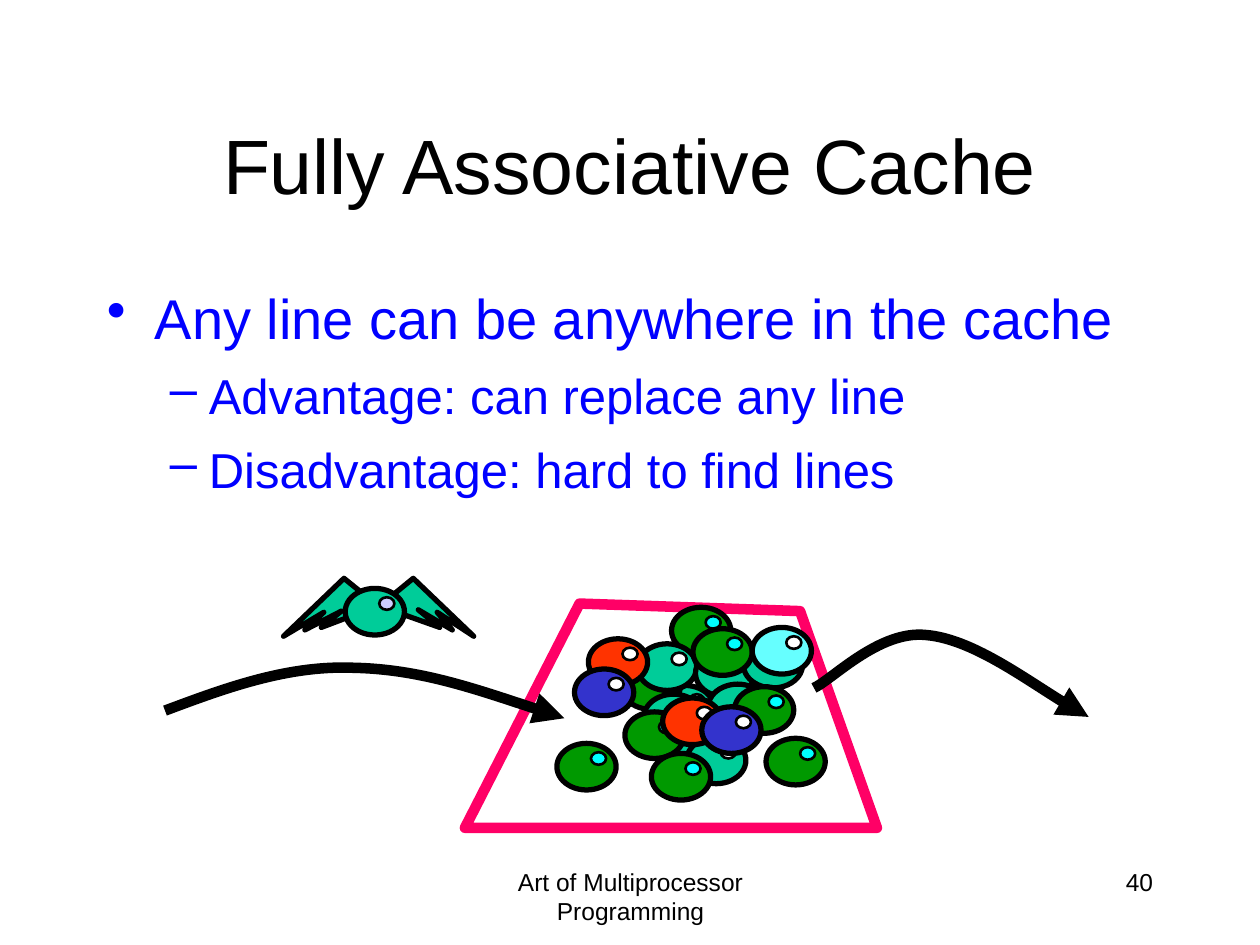
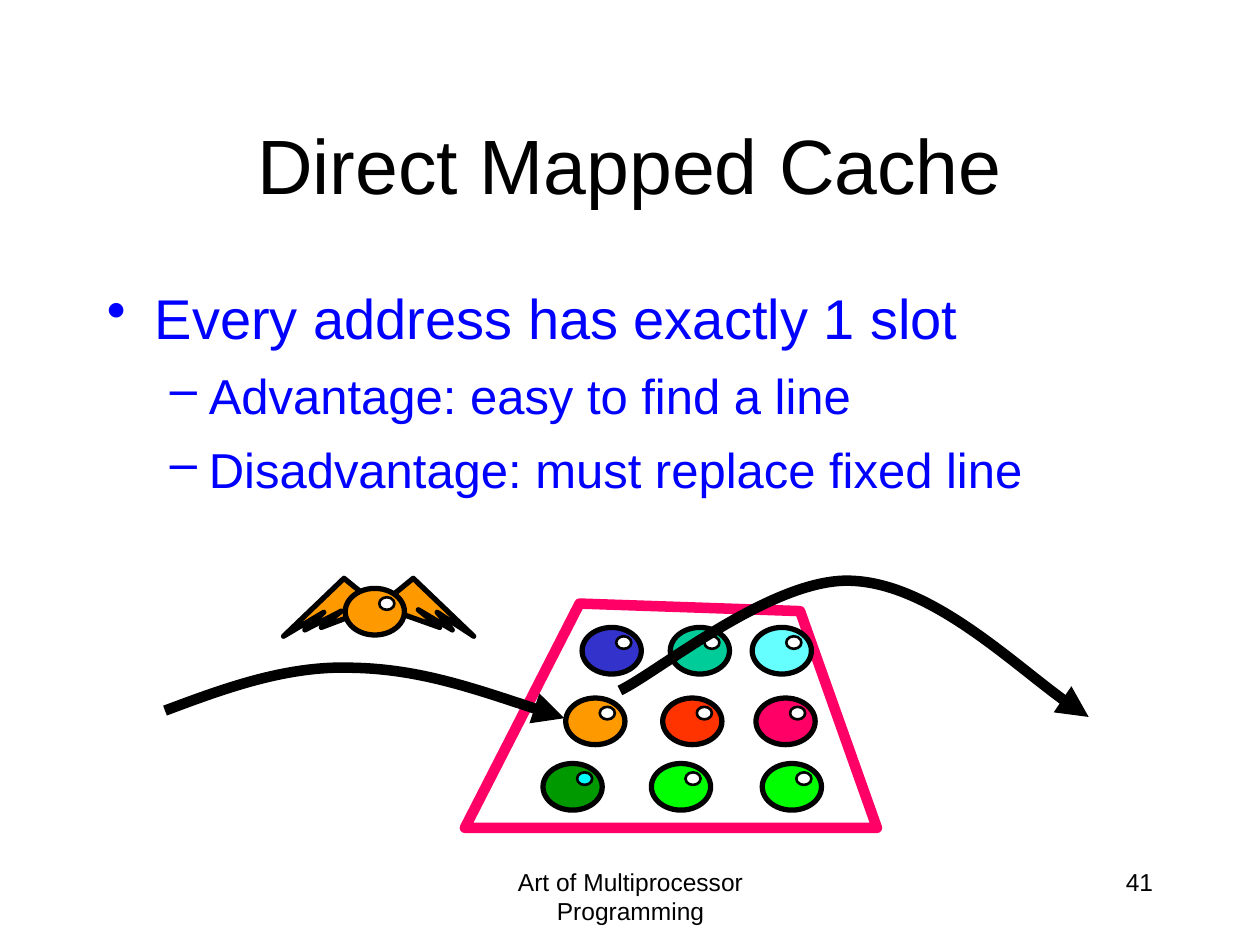
from lxml import etree
from pptx import Presentation
from pptx.dml.color import RGBColor
from pptx.enum.shapes import MSO_SHAPE
from pptx.enum.text import MSO_ANCHOR, PP_ALIGN
from pptx.oxml.ns import qn
from pptx.util import Emu, Pt

OVAL = MSO_SHAPE.OVAL
TOP, MIDDLE = MSO_ANCHOR.TOP, MSO_ANCHOR.MIDDLE
LEFT, CENTER, RIGHT = PP_ALIGN.LEFT, PP_ALIGN.CENTER, PP_ALIGN.RIGHT

PX = 9144  # EMU per px, 100 px to the inch
FONT = "Arial"
COLORS = {
    "black": "000000", "text": "0000FF", "frame": "FF0066", "white": "FFFFFF",
    "cyan": "00FFFF", "lavender": "CCCCFF", "green": "009900", "teal": "00CC99",
    "red": "FF3300", "sky": "66FFFF", "blue": "3333CC", "orange": "FF9900",
    "lime": "00FF00", "pink": "FF0066",
}

# Boxes: left, top, width, height
TITLE_BOX = (75, 67, 850, 125)
BODY_BOX = (75, 217, 850, 450)
FOOTER_BOX = (342, 683, 317, 50)
NUMBER_BOX = (717, 683, 208, 50)
CACHE_BOX = (369, 479, 327, 178)
FLYER_BOX = (225, 459, 151, 46)

BALL_SIZE = (47, 37)
GLINT_OFFSET, GLINT_SIZE = (27, 7), (12, 10)

# Outlines relative to their box
CACHE_OUTLINE = [(91, 0), (0, 178), (327, 178), (266, 6)]
RIGHT_WING = [(81, 18), (103, 0), (151, 46), (122, 27), (134, 41),
              (107, 25), (124, 39), (76, 22)]
LEFT_WING = [(69, 17), (48, 0), (0, 46), (32, 27), (17, 41),
             (46, 26), (30, 39), (75, 22)]

# Bezier points of the arrows on the slide
ENTERING = [(131, 564), (179, 546), (228, 528), (280, 530),
            (333, 531), (390, 551), (448, 570)]
LEAVING_PILE = [(646, 546), (661, 539), (698, 500), (735, 504),
                (771, 507), (837, 555), (864, 569)]
LEAVING_SLOT = [(492, 548), (523, 533), (615, 457), (677, 461),
                (739, 464), (825, 546), (864, 569)]

# Balls relative to the cache box: left, top, colour
PILE = [
    (164, 3, "green"), (151, 65, "teal"), (124, 47, "green"), (168, 82, "teal"),
    (142, 72, "teal"), (159, 89, "teal"), (176, 106, "teal"), (137, 32, "teal"),
    (183, 37, "teal"), (193, 64, "teal"), (221, 30, "teal"), (181, 20, "green"),
    (127, 86, "green"), (214, 66, "green"), (239, 107, "green"),
    (148, 119, "green"), (73, 111, "green"),
]
TOP_OF_PILE = [(157, 75, "red"), (98, 28, "red"), (228, 19, "sky"),
               (87, 52, "blue"), (188, 82, "blue")]
SLOT_ROWS = [
    (19, [(93, "blue"), (163, "teal"), (228, "sky")]),
    (75, [(80, "orange"), (157, "red"), (231, "pink")]),
    (127, [(62, "green"), (148, "lime"), (236, "lime")]),
]
SLOTS = [(left, top, color) for top, row in SLOT_ROWS for left, color in row]


def rgb(name):
    return RGBColor.from_string(COLORS[name])


def paint(shape, fill, line, width):
    shape.shadow.inherit = False
    if fill:
        shape.fill.solid()
        shape.fill.fore_color.rgb = rgb(fill)
    else:
        shape.fill.background()
    shape.line.color.rgb = rgb(line)
    shape.line.width = Pt(width)
    etree.SubElement(shape.line._get_or_add_ln(), qn("a:round"))


def style(paragraph, size, color, align=LEFT):
    paragraph.alignment = align
    paragraph.font.name = FONT
    paragraph.font.size = Pt(size)
    paragraph.font.color.rgb = rgb(color)


def text_frame(slide, box, anchor=TOP):
    frame = slide.shapes.add_textbox(*(Emu(v * PX) for v in box)).text_frame
    frame.word_wrap = True
    frame.vertical_anchor = anchor
    return frame


def label(slide, box, text, size, align, anchor=TOP):
    paragraph = text_frame(slide, box, anchor).paragraphs[0]
    paragraph.text = text
    style(paragraph, size, "black", align)


def body(slide, box, claim, details):
    frame = text_frame(slide, box)
    frame.margin_top = Emu(8 * PX)
    # text, bullet, left indent, bullet hang, size
    rows = [(claim, "•", 38, 38, 32)]
    rows += [(detail, "–", 81, 31, 28) for detail in details]
    for i, (text, bullet, indent, hang, size) in enumerate(rows):
        paragraph = frame.add_paragraph() if i else frame.paragraphs[0]
        paragraph.text = text
        props = paragraph._p.get_or_add_pPr()
        props.set("marL", str(indent * PX))
        props.set("indent", str(-hang * PX))
        etree.SubElement(props, qn("a:buChar"), char=bullet)
        style(paragraph, size, "text")
        if i:
            paragraph.level = 1
            paragraph.space_before = Pt(8.5)


def outline(shapes, box, points, fill, line, width):
    first, *rest = [(box[0] + x, box[1] + y) for x, y in points]
    builder = shapes.build_freeform(*first, scale=PX)
    builder.add_line_segments(rest, close=True)
    paint(builder.convert_to_shape(), fill, line, width)


def curved_arrow(slide, points):
    builder = slide.shapes.build_freeform(*points[0], scale=PX)
    builder.add_line_segments(points[1:], close=False)
    arrow = builder.convert_to_shape()
    paint(arrow, None, "black", 6)
    etree.SubElement(arrow.line._get_or_add_ln(), qn("a:tailEnd"), type="triangle")
    # Turn each three straight segments into one Bezier segment
    segments = list(arrow._element.iter(qn("a:lnTo")))
    curve = segments[0].getparent()
    for i in range(0, len(segments), 3):
        bezier = etree.SubElement(curve, qn("a:cubicBezTo"))
        for segment in segments[i:i + 3]:
            bezier.append(segment[0])
            curve.remove(segment)


def oval(shapes, position, size, fill, width):
    shape = shapes.add_shape(OVAL, *(Emu(v * PX) for v in position + size))
    paint(shape, fill, "black", width)


def ball(shapes, left, top, color, glint=None):
    glint = glint or ("cyan" if color == "green" else "white")
    dx, dy = GLINT_OFFSET
    oval(shapes, (left, top), BALL_SIZE, color, 3)
    oval(shapes, (left + dx, top + dy), GLINT_SIZE, glint, 1.5)


def balls(slide, box, items):
    for left, top, color in items:
        group = slide.shapes.add_group_shape()
        ball(group.shapes, box[0] + left, box[1] + top, color)


def flyer(slide, box, color, glint):
    shapes = slide.shapes.add_group_shape().shapes
    for wing in (RIGHT_WING, LEFT_WING):
        outline(shapes, box, wing, color, "black", 3)
    ball(shapes, box[0] + 49, box[1] + 8, color, glint)


def cache_slide(deck, number, title, claim, details, stored, newest,
                flyer_color, flyer_glint, leaving):
    slide = deck.slides.add_slide(deck.slide_layouts[6])
    # Texts
    label(slide, FOOTER_BOX, "Art of Multiprocessor Programming", 14, CENTER)
    label(slide, NUMBER_BOX, str(number), 14, RIGHT)
    label(slide, TITLE_BOX, title, 44, CENTER, MIDDLE)
    body(slide, BODY_BOX, claim, details)
    # Cache with its lines
    outline(slide.shapes, CACHE_BOX, CACHE_OUTLINE, None, "frame", 6)
    balls(slide, CACHE_BOX, stored)
    # Line flying in, line pushed out
    flyer(slide, FLYER_BOX, flyer_color, flyer_glint)
    curved_arrow(slide, ENTERING)
    curved_arrow(slide, leaving)
    balls(slide, CACHE_BOX, newest)


def main():
    deck = Presentation()
    deck.slide_width, deck.slide_height = Emu(1000 * PX), Emu(750 * PX)
    cache_slide(
        deck, 40, "Fully Associative Cache", "Any line can be anywhere in the cache",
        ["Advantage: can replace any line", "Disadvantage: hard to find lines"],
        PILE, TOP_OF_PILE, "teal", "lavender", LEAVING_PILE)
    cache_slide(
        deck, 41, "Direct Mapped Cache", "Every address has exactly 1 slot",
        ["Advantage: easy to find a line", "Disadvantage: must replace fixed line"],
        SLOTS, [], "orange", "white", LEAVING_SLOT)
    deck.save("out.pptx")


if __name__ == "__main__":
    main()
